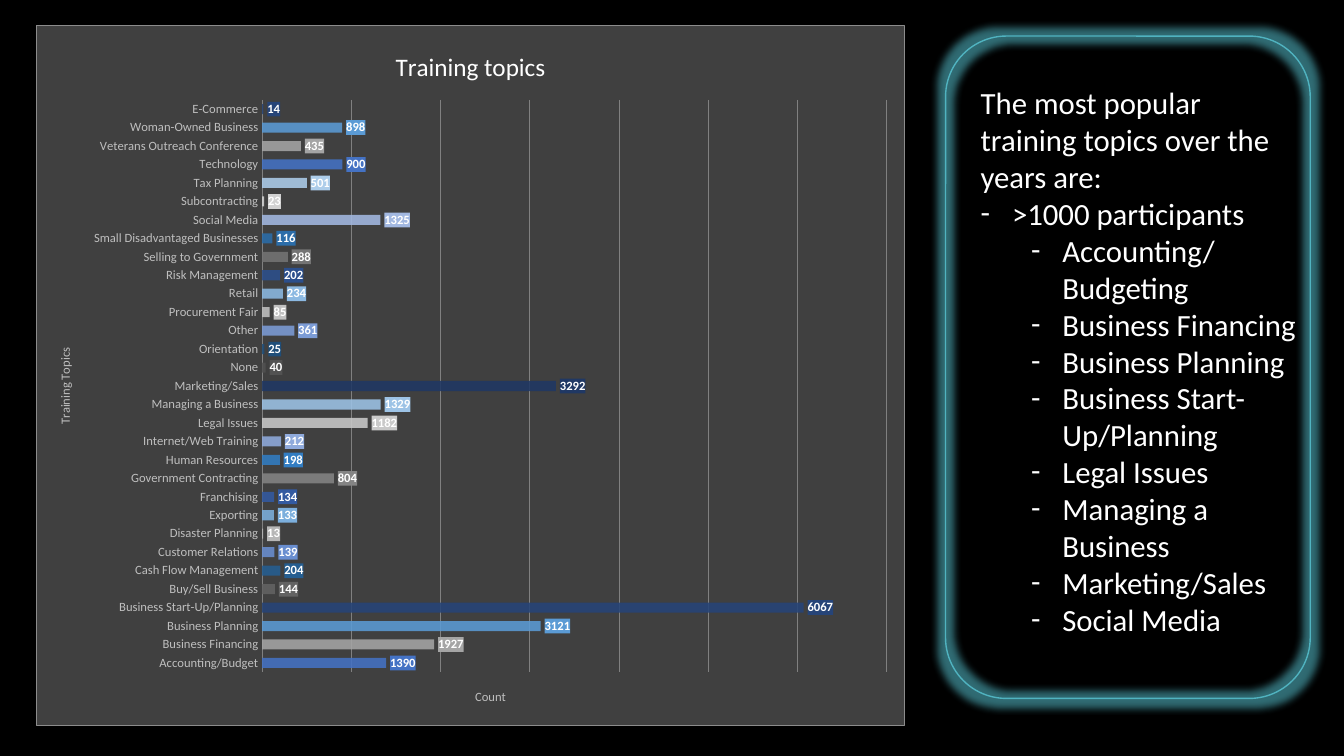
"""Build a slide with a bar chart of training topics and a list of the most popular ones."""
from copy import deepcopy
from itertools import cycle

from lxml import etree
from pptx import Presentation
from pptx.chart.data import CategoryChartData
from pptx.dml.color import RGBColor
from pptx.enum.chart import XL_CHART_TYPE, XL_LABEL_POSITION, XL_TICK_MARK
from pptx.enum.shapes import MSO_SHAPE
from pptx.enum.text import MSO_ANCHOR, MSO_AUTO_SIZE
from pptx.oxml import parse_xml
from pptx.oxml.ns import nsdecls, qn
from pptx.util import Cm, Pt

BAR_CLUSTERED = XL_CHART_TYPE.BAR_CLUSTERED
OUTSIDE_END = XL_LABEL_POSITION.OUTSIDE_END
NO_TICKS = XL_TICK_MARK.NONE
ROUNDED_PANEL = MSO_SHAPE.FLOWCHART_ALTERNATE_PROCESS
ANCHOR_TOP = MSO_ANCHOR.TOP
NO_AUTOFIT = MSO_AUTO_SIZE.NONE

COLOURS = {
    "background": "000000",
    "text": "FFFFFF",
    "axis": "BFBFBF",
    "grid": "808080",
    "chart": "404040",
    "chart border": "8C8C8C",
    "panel": "50B3C0",
    "bars": (
        "4472C4 A5A5A5 5B9BD5 264478 636363 255E91 698ED0 B7B7B7 7CAFDD "
        "335AA1 848484 327DC2 8FAADC C9C9C9 9DC3E6 203864 525252 1F4E79 "
        "7C9CD6 C0C0C0 8CB9E2 2C4F8C 747474 2B6DA9 A2B8E1 D2D2D2 ADCDEA"
    ),
}

PARTICIPANTS = {
    "Accounting/Budget": 1390,
    "Business Financing": 1927,
    "Business Planning": 3121,
    "Business Start-Up/Planning": 6067,
    "Buy/Sell Business": 144,
    "Cash Flow Management": 204,
    "Customer Relations": 139,
    "Disaster Planning": 13,
    "Exporting": 133,
    "Franchising": 134,
    "Government Contracting": 804,
    "Human Resources": 198,
    "Internet/Web Training": 212,
    "Legal Issues": 1182,
    "Managing a Business": 1329,
    "Marketing/Sales": 3292,
    "None": 40,
    "Orientation": 25,
    "Other": 361,
    "Procurement Fair": 85,
    "Retail": 234,
    "Risk Management": 202,
    "Selling to Government": 288,
    "Small Disadvantaged Businesses": 116,
    "Social Media": 1325,
    "Subcontracting": 23,
    "Tax Planning": 501,
    "Technology": 900,
    "Veterans Outreach Conference": 435,
    "Woman-Owned Business": 898,
    "E-Commerce": 14,
}

POPULAR_TOPICS = [
    "Accounting/\nBudgeting",
    "Business Financing",
    "Business Planning",
    "Business Start-Up/Planning",
    "Legal Issues",
    "Managing a Business",
    "Marketing/Sales",
    "Social Media",
]


class SlideBuilder:
    def __init__(self, slide, font="Calibri"):
        self.slide = slide
        self.font = font
        fill = slide.background.fill
        fill.solid()
        fill.fore_color.rgb = self.colour("background")

    def colour(self, name):
        return RGBColor.from_string(COLOURS[name])

    def style(self, font, size, colour="text", bold=False):
        font.name = self.font
        font.size = Pt(size)
        font.bold = bold
        font.color.rgb = self.colour(colour)

    def heading(self, owner, text, size, colour):
        paragraph = owner.text_frame.paragraphs[0]
        run = paragraph.add_run()
        run.text = text
        self.style(run.font, size, colour)

    def bars(self, box, title, category_title, value_title, counts):
        data = CategoryChartData()
        data.categories = list(counts)
        data.add_series("Participants", list(counts.values()))
        chart = self.slide.shapes.add_chart(BAR_CLUSTERED, *map(Cm, box), data).chart
        self.style(chart.font, 10)
        chart.has_legend = False
        self.heading(chart.chart_title, title, 18, "text")

        topics, scale = chart.category_axis, chart.value_axis
        self.heading(topics.axis_title, category_title, 9, "axis")
        self.heading(scale.axis_title, value_title, 9, "axis")
        self.style(topics.tick_labels.font, 9, "axis")
        topics.major_tick_mark = NO_TICKS
        topics.format.line.fill.background()
        scale.minimum_scale, scale.maximum_scale, scale.major_unit = 0, 7000, 1000
        scale.visible = False
        grid = scale.major_gridlines.format.line
        grid.color.rgb = self.colour("grid")
        grid.width = Pt(0.75)

        plot = chart.plots[0]
        plot.gap_width = 84
        plot.vary_by_categories = False
        plot.series[0].invert_if_negative = False
        self.paint_bars(plot.series[0], len(counts))
        self.frame_chart(chart)

    def paint_bars(self, series, count):
        label_fills = []
        for index, shade in zip(range(count), cycle(COLOURS["bars"].split())):
            point = series.points[index]
            fill = point.format.fill
            fill.solid()
            fill.fore_color.rgb = RGBColor.from_string(shade)
            bar_properties = fill._xPr
            label_fills.append(deepcopy(bar_properties))
            bar_colour = bar_properties.find(".//" + qn("a:srgbClr"))
            etree.SubElement(bar_colour, qn("a:alpha"), val="88000")
            self.style(point.data_label.font, 9, bold=True)
            point.data_label.position = OUTSIDE_END
        labels = series._element.iter(qn("c:dLbl"))
        for label, label_fill in zip(labels, label_fills):
            label.find(qn("c:txPr")).addprevious(label_fill)

    def frame_chart(self, chart):
        space = chart._chartSpace
        space.find(qn("c:txPr")).addprevious(parse_xml(
            f'<c:spPr {nsdecls("c", "a")}><a:solidFill><a:srgbClr val="{COLOURS["chart"]}"/>'
            f'</a:solidFill><a:ln w="{Pt(0.5)}"><a:solidFill>'
            f'<a:srgbClr val="{COLOURS["chart border"]}"/></a:solidFill></a:ln></c:spPr>'))
        plot_area = space.find(".//" + qn("c:plotArea"))
        for old in plot_area.findall(qn("c:layout")):
            plot_area.remove(old)
        sizes = "".join(f'<c:{key} val="{value}"/>' for key, value in
                        {"x": 0.26, "y": 0.106, "w": 0.72, "h": 0.818}.items())
        plot_area.insert(0, parse_xml(
            f'<c:layout {nsdecls("c")}><c:manualLayout><c:layoutTarget val="inner"/>'
            f'<c:xMode val="edge"/><c:yMode val="edge"/>{sizes}</c:manualLayout></c:layout>'))

    def glowing_panel(self, box):
        panel = self.slide.shapes.add_shape(ROUNDED_PANEL, *map(Cm, box))
        panel.fill.background()
        panel.line.color.rgb = self.colour("panel")
        panel.line.width = Pt(1)
        panel.shadow.inherit = False
        effects = panel._element.spPr.find(qn("a:effectLst"))
        glow = etree.SubElement(effects, qn("a:glow"), rad=str(Pt(11)))
        tint = etree.SubElement(glow, qn("a:srgbClr"), val=COLOURS["panel"])
        etree.SubElement(tint, qn("a:alpha"), val="60000")

    def bullets(self, box, entries):
        body = self.slide.placeholders[1]
        body.left, body.top, body.width, body.height = map(Cm, box)
        frame = body.text_frame
        frame.word_wrap = True
        frame.auto_size = NO_AUTOFIT
        frame.vertical_anchor = ANCHOR_TOP
        for position, (text, level, margin) in enumerate(entries):
            paragraph = frame.add_paragraph() if position else frame.paragraphs[0]
            paragraph.level = level
            paragraph.space_before = Pt(0)
            properties = paragraph._p.get_or_add_pPr()
            properties.set("marL", str(Cm(margin)))
            properties.set("indent", str(Cm(-0.79 if margin else 0)))
            if margin:
                etree.SubElement(properties, qn("a:buFont"), typeface=self.font)
                etree.SubElement(properties, qn("a:buChar"), char="-")
            else:
                etree.SubElement(properties, qn("a:buNone"))
            for number, line in enumerate(text.split("\n")):
                if number:
                    paragraph.add_line_break()
                run = paragraph.add_run()
                run.text = line
                self.style(run.font, 22)


deck = Presentation()
deck.slide_width, deck.slide_height = Cm(33.87), Cm(19.05)
training = SlideBuilder(deck.slides.add_slide(deck.slide_layouts[1]))
unused_title = training.slide.shapes.title._element
unused_title.getparent().remove(unused_title)

training.bars((0.91, 0.64, 21.89, 17.65), "Training topics", "Training Topics", "Count", PARTICIPANTS)
training.bullets((24.46, 1.98, 8.48, 16.5), [
    ("The most popular training topics over the years are:", 0, 0),
    (">1000 participants", 0, 0.79),
    *((topic, 1, 2.06) for topic in POPULAR_TOPICS),
])
training.glowing_panel((23.83, 0.91, 9.19, 16.69))
deck.save("out.pptx")
